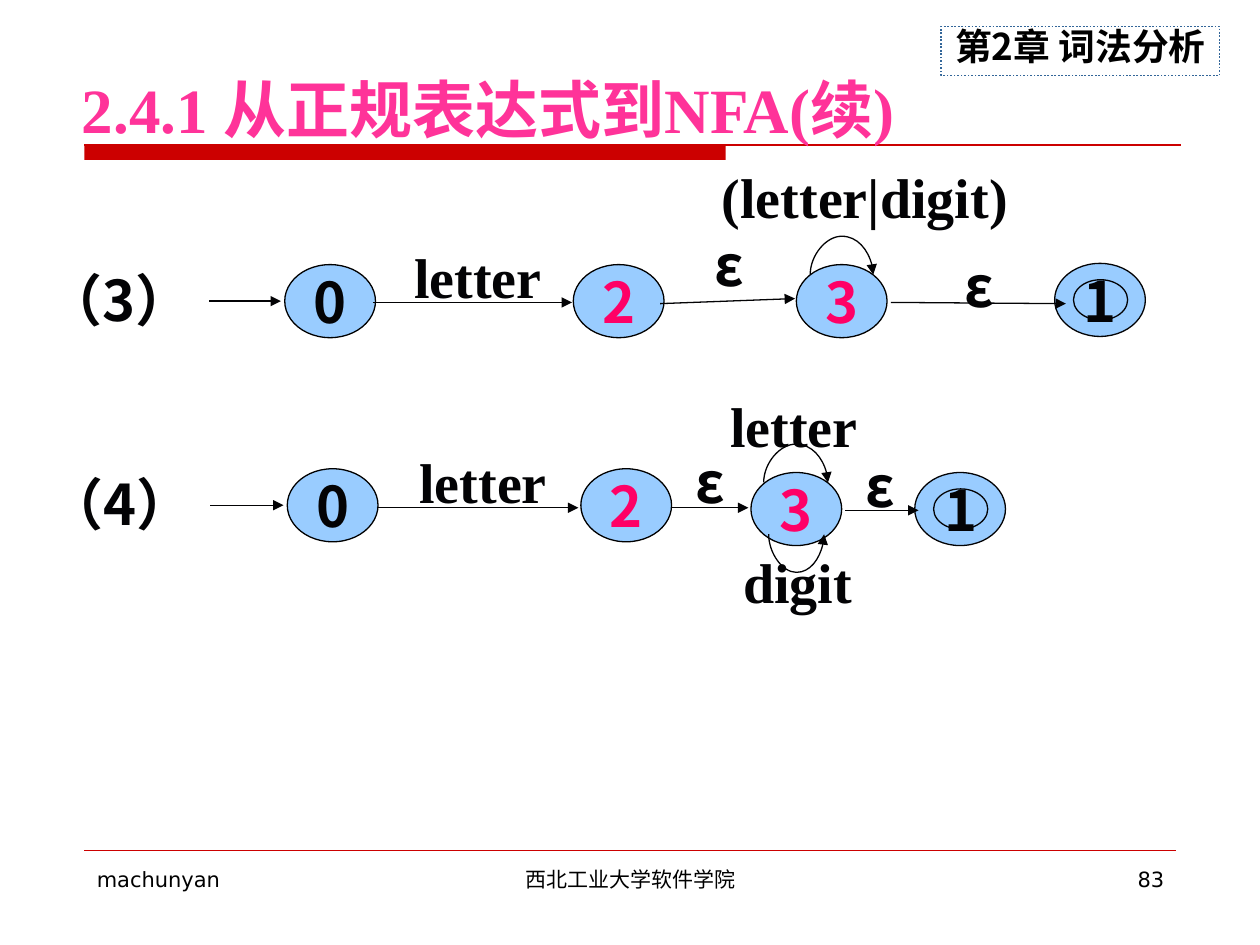
from lxml import etree
from pptx import Presentation
from pptx.dml.color import RGBColor
from pptx.enum.dml import MSO_LINE
from pptx.enum.shapes import MSO_CONNECTOR, MSO_SHAPE
from pptx.enum.text import MSO_ANCHOR, MSO_AUTO_SIZE, PP_ALIGN
from pptx.oxml.ns import qn
from pptx.util import Inches, Pt

BLACK = RGBColor(0x00, 0x00, 0x00)
INK = RGBColor(0x03, 0x03, 0x05)
RED = RGBColor(0xCC, 0x00, 0x00)
PINK = RGBColor(0xFF, 0x33, 0x99)
ROSE = RGBColor(0xFF, 0x00, 0x66)
SKY = RGBColor(0x99, 0xCC, 0xFF)
STEEL = RGBColor(0x33, 0x66, 0x99)

SERIF = "Times New Roman"
SANS = "DejaVu Sans"
CJK = "Noto Sans CJK SC"
HEADER_CJK = "Noto Sans CJK JP"

LEFT, CENTER, RIGHT = PP_ALIGN.LEFT, PP_ALIGN.CENTER, PP_ALIGN.RIGHT
TOP, MIDDLE, BOTTOM = MSO_ANCHOR.TOP, MSO_ANCHOR.MIDDLE, MSO_ANCHOR.BOTTOM
NO_AUTO_SIZE = MSO_AUTO_SIZE.NONE
OVAL, RECTANGLE = MSO_SHAPE.OVAL, MSO_SHAPE.RECTANGLE
STRAIGHT, CURVE = MSO_CONNECTOR.STRAIGHT, MSO_CONNECTOR.CURVE
DOTTED = MSO_LINE.ROUND_DOT

STATE_WIDTH, STATE_HEIGHT = 0.72, 0.58
LOOP_DEPTH, LOOP_RATIO = 0.34, 193

AUTOMATA = [
    {
        "states": [(2.26, 2.1, "0", INK), (4.55, 2.1, "2", ROSE), (6.32, 2.1, "3", ROSE)],
        "final": (8.37, 2.09),
        "arrows": [(1.66, 2.39, 2.23, 2.39), (2.96, 2.4, 4.54, 2.4),
                   (5.24, 2.41, 6.31, 2.37), (7.07, 2.4, 8.46, 2.41)],
        "loops": [(6.43, 6.93, 2.18, True)],
        "labels": [("（3）", 0.66, 2.21, 0.57, 0.33, CJK),
                   ("letter", 3.18, 2.01, 1.23, 0.36, SERIF),
                   ("ε", 5.51, 1.85, 0.56, 0.49, CJK),
                   ("(letter|digit)", 5.68, 1.38, 2.37, 0.36, SERIF),
                   ("ε", 7.57, 2.09, 0.4, 0.34, CJK)],
    },
    {
        "states": [(2.28, 3.72, "0", INK), (4.61, 3.72, "2", ROSE), (5.96, 3.75, "3", ROSE)],
        "final": (7.26, 3.75),
        "arrows": [(1.67, 4.01, 2.25, 4.01), (2.99, 4.03, 4.59, 4.03),
                   (5.33, 4.03, 5.94, 4.03), (6.71, 4.05, 7.29, 4.05)],
        "loops": [(6.06, 6.57, 3.83, True), (6.1, 6.54, 4.24, False)],
        "labels": [("（4）", 0.66, 3.83, 0.58, 0.33, CJK),
                   ("letter", 3.21, 3.64, 1.25, 0.36, SERIF),
                   ("ε", 5.56, 3.69, 0.15, 0.26, CJK),
                   ("letter", 5.69, 3.19, 1.22, 0.36, SERIF),
                   ("ε", 6.91, 3.72, 0.15, 0.26, CJK),
                   ("digit", 5.8, 4.43, 1.06, 0.36, SERIF)],
    },
]


def write_text(shape, text, size=32, font=CJK, color=INK, bold=True, align=CENTER,
               anchor=MIDDLE, wrap=False, line_spacing=None):
    frame = shape.text_frame
    frame.auto_size = NO_AUTO_SIZE
    frame.word_wrap = wrap
    frame.vertical_anchor = anchor
    paragraph = frame.paragraphs[0]
    paragraph.alignment = align
    paragraph.line_spacing = line_spacing
    run = paragraph.add_run()
    run.text = text
    run.font.size = Pt(size)
    run.font.bold = bold
    run.font.color.rgb = color
    run.font.name = font
    east_asian = etree.SubElement(run.font._element, qn("a:ea"))
    east_asian.set("typeface", CJK if font in (SERIF, SANS) else font)


def add_text(slide, text, left, top, width, height, **text_format):
    box = slide.shapes.add_textbox(Inches(left), Inches(top), Inches(width), Inches(height))
    write_text(box, text, **text_format)


def add_box(slide, kind, left, top, width, height, fill=None, line=None, line_width=0.75):
    shape = slide.shapes.add_shape(
        kind, Inches(left), Inches(top), Inches(width), Inches(height))
    shape.shadow.inherit = False
    if fill is None:
        shape.fill.background()
    else:
        shape.fill.solid()
        shape.fill.fore_color.rgb = fill
    if line is None:
        shape.line.fill.background()
    else:
        shape.line.color.rgb = line
        shape.line.width = Pt(line_width)
    return shape


def add_line(slide, start_x, start_y, end_x, end_y, kind=STRAIGHT, color=INK, width=0.75,
             arrow=False):
    connector = slide.shapes.add_connector(
        kind, Inches(start_x), Inches(start_y), Inches(end_x), Inches(end_y))
    connector.line.color.rgb = color
    connector.line.width = Pt(width)
    if arrow:
        etree.SubElement(connector.line._get_or_add_ln(), qn("a:tailEnd"), type="triangle")
    etree.SubElement(connector._element.spPr, qn("a:effectLst"))
    return connector


def add_loop(slide, left, right, y, above):
    center, half = (left + right) / 2, (right - left) / 2
    thickness = LOOP_DEPTH / LOOP_RATIO
    connector = add_line(slide, center, y - half, center + thickness, y + half,
                         kind=CURVE, arrow=True)
    connector.rotation = 90 if above else 270
    properties = connector._element.spPr
    properties.find(qn("a:xfrm")).set("flipV" if above else "flipH", "1")
    adjustments = properties.find(qn("a:prstGeom")).get_or_add_avLst()
    bend = (-LOOP_RATIO if above else LOOP_RATIO) * 100000
    etree.SubElement(adjustments, qn("a:gd"), name="adj1", fmla=f"val {bend}")


def add_final_state(slide, left, top):
    add_box(slide, OVAL, left, top, STATE_WIDTH, STATE_HEIGHT, SKY, INK)
    inner = add_box(slide, OVAL, left + 0.15, top + 0.13, STATE_WIDTH - 0.29,
                    STATE_HEIGHT - 0.26, SKY, INK)
    write_text(inner, "1")


def add_automaton(slide, automaton):
    for left, top, name, color in automaton["states"]:
        state = add_box(slide, OVAL, left, top, STATE_WIDTH, STATE_HEIGHT, SKY, BLACK)
        write_text(state, name, color=color)
    add_final_state(slide, *automaton["final"])
    for ends in automaton["arrows"]:
        add_line(slide, *ends, arrow=True)
    for loop in automaton["loops"]:
        add_loop(slide, *loop)
    for text, left, top, width, height, font in automaton["labels"]:
        add_text(slide, text, left, top, width, height, font=font)


def add_header(slide):
    add_box(slide, RECTANGLE, 0.67, 1.15, 5.09, 0.12, fill=RED)
    add_line(slide, 0.67, 1.15, 9.37, 1.15, color=RED)
    chapter = add_box(slide, RECTANGLE, 7.47, 0.21, 2.21, 0.39, line=STEEL, line_width=1)
    chapter.line.dash_style = DOTTED
    write_text(chapter, "第2章 词法分析", size=21, font=HEADER_CJK, color=BLACK,
               line_spacing=0.75)


def add_title(slide, text):
    title = slide.shapes.title
    title.left, title.top = Inches(0.55), Inches(0.31)
    title.width, title.height = Inches(8.75), Inches(0.9)
    write_text(title, text, size=36, font=SERIF, color=PINK, align=LEFT, anchor=BOTTOM,
               wrap=True)
    title.element.getparent().append(title.element)


def add_footer(slide):
    add_line(slide, 0.67, 6.75, 9.33, 6.75, color=RED, width=0.25)
    for text, left, width, align in [("machunyan", 0.67, 2.17, LEFT),
                                     ("西北工业大学软件学院", 3.42, 3.17, CENTER),
                                     ("83", 7.17, 2.17, RIGHT)]:
        add_text(slide, text, left, 6.83, width, 0.52, size=12, font=SANS, color=BLACK,
                 bold=False, align=align, anchor=TOP, wrap=True)


def main():
    presentation = Presentation()
    presentation.slide_width, presentation.slide_height = Inches(10), Inches(7.5)
    slide = presentation.slides.add_slide(presentation.slide_layouts[5])
    add_header(slide)
    for automaton in AUTOMATA:
        add_automaton(slide, automaton)
    add_title(slide, "2.4.1 从正规表达式到NFA(续)")
    add_footer(slide)
    presentation.save("out.pptx")


if __name__ == "__main__":
    main()
